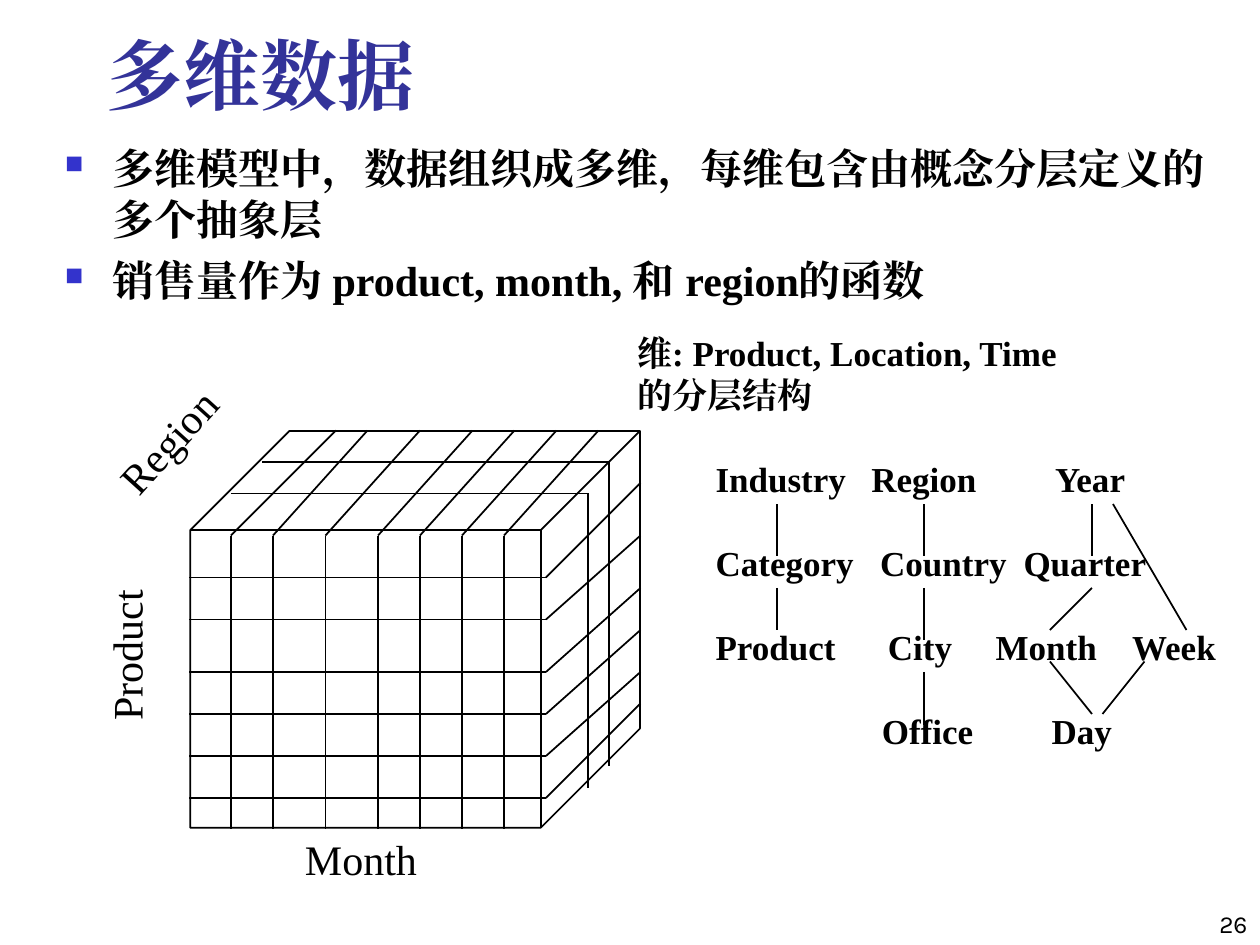
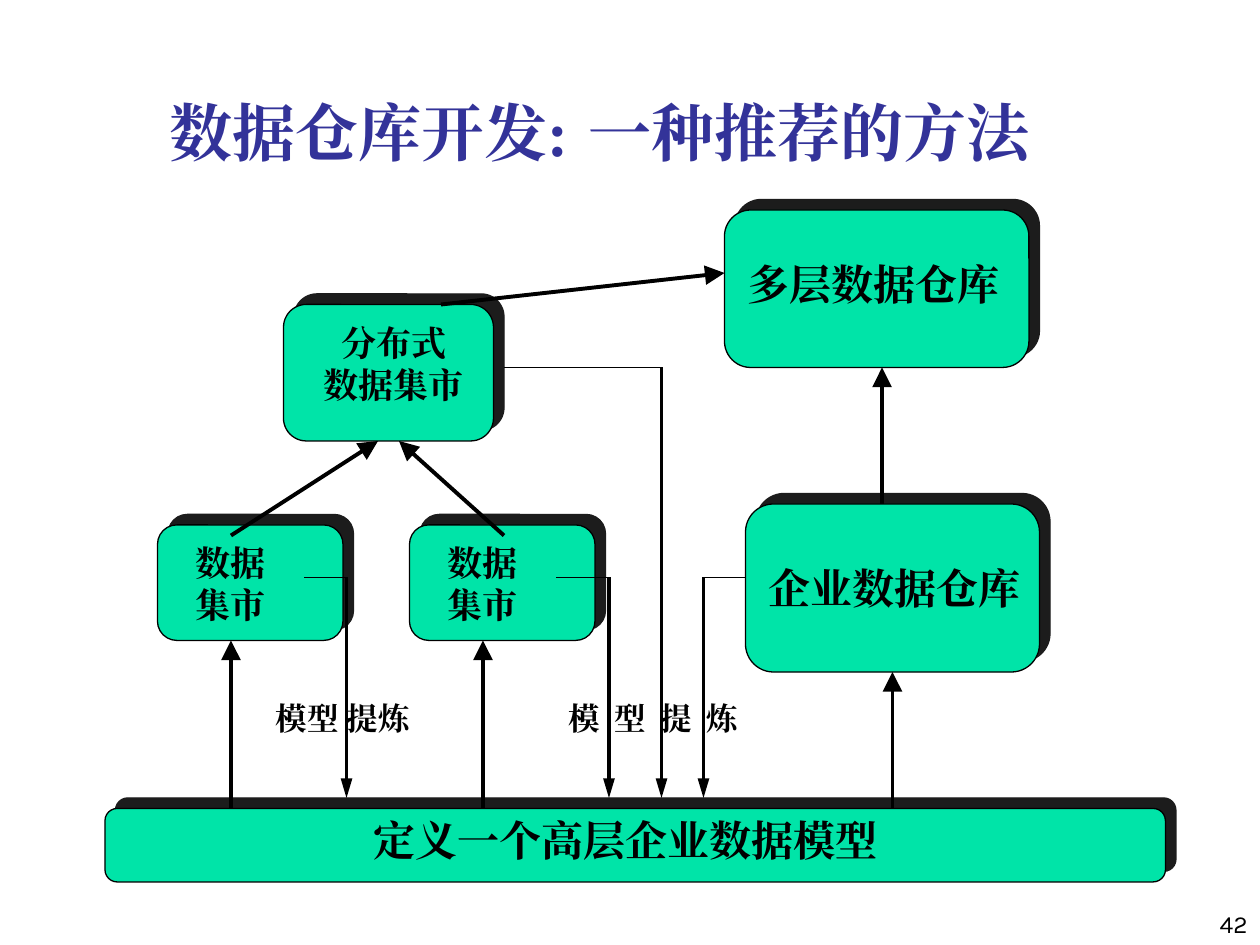
from dataclasses import dataclass

from lxml.etree import SubElement
from pptx import Presentation
from pptx.dml.color import RGBColor
from pptx.enum.shapes import MSO_CONNECTOR, MSO_SHAPE
from pptx.enum.text import MSO_ANCHOR, PP_ALIGN
from pptx.oxml.ns import qn
from pptx.util import Pt


@dataclass(frozen=True)
class Theme:
    title_color: str = "333399"
    bullet_color: str = "3333CC"
    ink: str = "000000"
    box_fill: str = "00E4A8"
    box_shadow: str = "1C1C1C"
    font: str = "Times New Roman"
    number_font: str = "Karla"
    title_size: int = 44
    long_title_size: int = 36
    large: int = 24
    medium: int = 20
    small: int = 18
    number_size: int = 14
    thin: float = 0.75
    grid: float = 1
    thick: float = 2.25
    line_height: float = 1.2


THEME = Theme()


def add_xml(parent, tag, **attributes):
    return SubElement(parent, qn(tag), attributes)


def write_run(paragraph, text, *, size, color=THEME.ink, font=THEME.font,
              bold=True, spacing=0):
    """Add one formatted run to a paragraph."""
    run = paragraph.add_run()
    run.text = text
    run.font.size = Pt(size)
    run.font.bold = bold
    run.font.name = font
    run.font.color.rgb = RGBColor.from_string(color)
    properties = run.font._element
    add_xml(properties, "a:ea", typeface=font)
    if spacing:
        properties.set("spc", str(round(spacing * 100)))


class SlideBuilder:
    """Holds the theme and the slide that is being drawn."""

    def __init__(self, presentation, theme):
        self.presentation = presentation
        self.theme = theme
        self.slide = None

    def new_slide(self, number):
        self.slide = self.presentation.slides.add_slide(
            self.presentation.slide_layouts[6])
        self.text(570, 504, 150, 36, [str(number)], size=self.theme.number_size,
                  font=self.theme.number_font, bold=False,
                  align=PP_ALIGN.RIGHT, anchor=MSO_ANCHOR.BOTTOM)

    def text(self, left, top, width, height, lines, *, size,
             align=PP_ALIGN.LEFT, anchor=MSO_ANCHOR.TOP, rotation=0,
             space_before=0, bullets=False, **run_format):
        """A line is a string, or a list of (text, size) pairs."""
        box = self.slide.shapes.add_textbox(Pt(left), Pt(top), Pt(width), Pt(height))
        box.rotation = rotation
        frame = box.text_frame
        frame.word_wrap = True
        frame.vertical_anchor = anchor
        for index, line in enumerate(lines):
            paragraph = frame.add_paragraph() if index else frame.paragraphs[0]
            paragraph.alignment = align
            paragraph.line_spacing = Pt(size * self.theme.line_height)
            if index:
                paragraph.space_before = Pt(space_before)
            if bullets:
                self.bullet(paragraph)
            pieces = [(line, size)] if isinstance(line, str) else line
            for piece, piece_size in pieces:
                write_run(paragraph, piece, size=piece_size, **run_format)

    def bullet(self, paragraph):
        properties = paragraph._p.get_or_add_pPr()
        properties.set("marL", str(Pt(27)))
        properties.set("indent", str(Pt(-27)))
        color = add_xml(properties, "a:buClr")
        add_xml(color, "a:srgbClr", val=self.theme.bullet_color)
        add_xml(properties, "a:buSzPct", val="60000")
        add_xml(properties, "a:buChar", char="■")

    def title(self, left, top, width, height, line, size):
        self.text(left, top, width, height, [line], size=size,
                  color=self.theme.title_color, anchor=MSO_ANCHOR.BOTTOM)

    def line(self, start, end, weight, head=None):
        """head is the (width, length) of an arrowhead at the end."""
        connector = self.slide.shapes.add_connector(
            MSO_CONNECTOR.STRAIGHT, *(Pt(value) for value in (*start, *end)))
        connector.line.color.rgb = RGBColor.from_string(self.theme.ink)
        connector.line.width = Pt(weight)
        if head:
            add_xml(connector.line._get_or_add_ln(), "a:tailEnd",
                    type="triangle", w=head[0], len=head[1])
        add_xml(connector._element.spPr, "a:effectLst")

    def arrow(self, start, end):
        self.line(start, end, self.theme.thick, head=("lg", "lg"))

    def feedback(self, start, bend_x, bottom):
        """Thin line to the side, then a thick arrow down."""
        bend = (bend_x, start[1])
        self.line(start, bend, self.theme.thin)
        self.line(bend, (bend_x, bottom), self.theme.thick, head=("med", "lg"))

    def shape(self, kind, left, top, width, height, adjustment, weight):
        shape = self.slide.shapes.add_shape(
            kind, Pt(left), Pt(top), Pt(width), Pt(height))
        shape.adjustments[0] = adjustment
        shape.fill.background()
        shape.line.color.rgb = RGBColor.from_string(self.theme.ink)
        shape.line.width = Pt(weight)
        shape.shadow.inherit = False
        return shape

    def shadow_box(self, left, top, width, height):
        box = self.shape(MSO_SHAPE.ROUNDED_RECTANGLE, left, top, width, height,
                         0.167, self.theme.thin)
        box.fill.solid()
        box.fill.fore_color.rgb = RGBColor.from_string(self.theme.box_fill)
        effects = box._element.spPr.find(qn("a:effectLst"))
        shadow = add_xml(effects, "a:outerShdw", dist=str(Pt(8.5)),
                         dir=str(315 * 60000), algn="ctr", rotWithShape="0")
        add_xml(shadow, "a:srgbClr", val=self.theme.box_shadow)


def draw_cube(builder):
    theme = builder.theme
    builder.shape(MSO_SHAPE.CUBE, 108.75, 246.25, 257, 226.75, 0.25, theme.grid)
    left, right, back_right = 108, 312, 366
    back, front, bottom = 246, 306, 474

    # Product rows, on the front and the right side
    rows = {330: 276, 354: 306, 384: 336, 408: 360, 432: 384, 456: 402}
    for y, back_y in rows.items():
        builder.line((left, y), (right, y), theme.grid)
        builder.line((right, y), (back_right, back_y), theme.grid)

    # Month columns, on the front and the top
    columns = {132: 192, 156: 210, 186: 240, 216: 270, 240: 294, 264: 318, 288: 342}
    for x, back_x in columns.items():
        builder.line((x, front), (x, bottom), theme.grid)
        builder.line((x, front), (back_x, back), theme.grid)

    # Region slices, across the top and down the right side
    for start_x, corner_x, y, end_y in ((150, 348, 264, 438), (132, 336, 282, 450)):
        builder.line((start_x, y), (corner_x, y), theme.grid)
        builder.line((corner_x, y), (corner_x, end_y), theme.grid)

    # Axis names, given by their centres
    for name, x, y, rotation in (("Product", 72, 374.5, 270),
                                 ("Region", 96, 252, 312),
                                 ("Month", 206.25, 491, 0)):
        builder.text(x - 55, y - 18, 110, 36, [name], size=theme.large,
                     bold=False, align=PP_ALIGN.CENTER, rotation=rotation)


def draw_hierarchies(builder):
    theme = builder.theme
    builder.text(357, 186, 290, 55, ["维: Product, Location, Time", "的分层结构"],
                 size=theme.medium)

    # Levels, from coarse to fine, with the left edge of each word
    levels = (
        (("Industry", 409), ("Region", 498), ("Year", 603)),
        (("Category", 409), ("Country", 503), ("Quarter", 585)),
        (("Product", 409), ("City", 507.5), ("Month", 569), ("Week", 647)),
        (("Office", 504), ("Day", 601)),
    )
    for index, level in enumerate(levels):
        for name, x in level:
            builder.text(x - 7.2, 258 + 48 * index, 104, 31, [name],
                         size=theme.medium)

    links = (
        ((444, 288), (444, 318)), ((444, 336), (444, 360)),
        ((528, 288), (528, 318)), ((528, 336), (528, 366)),
        ((528, 384), (528, 414)),
        ((624, 288), (624, 318)), ((624, 336), (600, 360)),
        ((636, 288), (678, 360)),
        ((600, 378), (624, 408)), ((654, 378), (630, 408)),
    )
    for start, end in links:
        builder.line(start, end, theme.grid)


def multidimensional_data(builder):
    theme = builder.theme
    builder.new_slide(26)
    builder.title(54, 12, 613.5, 60, "多维数据", theme.title_size)
    builder.text(30, 78, 672, 108,
                 ["多维模型中，数据组织成多维，每维包含由概念分层定义的多个抽象层",
                  "销售量作为 product, month, 和 region的函数"],
                 size=theme.large, space_before=6, bullets=True)
    draw_cube(builder)
    draw_hierarchies(builder)


def warehouse_development(builder):
    theme = builder.theme
    builder.new_slide(42)
    builder.title(90, 36, 564, 66,
                  [("数据仓库开发:", theme.long_title_size), (" ", theme.title_size),
                   ("一种推荐的方法", theme.long_title_size)], theme.title_size)

    # Boxes
    mart_lefts = (90, 234)
    for left in mart_lefts:
        builder.shadow_box(left, 300, 106, 66)
    builder.shadow_box(60, 462, 606, 42)
    builder.shadow_box(426, 288, 168, 96)
    builder.shadow_box(414, 120, 174, 90)
    builder.shadow_box(162, 174, 120, 78)

    # Model refinement, back down to the enterprise model
    for start, bend_x in (((174, 330), 198), ((318, 330), 348),
                          ((288, 210), 378), ((426, 330), 402)):
        builder.feedback(start, bend_x, 456)

    # Build-up, from the model to the warehouses
    for start, end in (((132, 462), (132, 366)), ((276, 462), (276, 366)),
                       ((132, 306), (216, 252)), ((288, 306), (228, 252)),
                       ((252, 174), (414, 156)), ((510, 462), (510, 384)),
                       ((504, 288), (504, 210))):
        builder.arrow(start, end)

    # Names of the boxes
    for left in mart_lefts:
        builder.text(left + 6, 306, 72, 55, ["数据集市"], size=theme.medium,
                     align=PP_ALIGN.CENTER)
    builder.text(168, 180, 114, 55, ["分布式", "数据集市"], size=theme.medium,
                 align=PP_ALIGN.CENTER)
    for name, left, top, width in (("多层数据仓库", 420, 144, 168),
                                   ("企业数据仓库", 432, 318, 166),
                                   ("定义一个高层企业数据模型", 206.5, 462, 320)):
        builder.text(left, top, width, 36, [name], size=theme.large)

    # Names of the feedback arrows
    builder.text(150.5, 396, 100, 29, ["模型 提炼"], size=theme.small)
    builder.text(318, 396, 130, 29, ["模 型 提 炼"], size=theme.small, spacing=1.9)


def main():
    presentation = Presentation()
    presentation.slide_width = Pt(720)
    presentation.slide_height = Pt(540)
    builder = SlideBuilder(presentation, THEME)
    multidimensional_data(builder)
    warehouse_development(builder)
    presentation.save("out.pptx")


if __name__ == "__main__":
    main()
